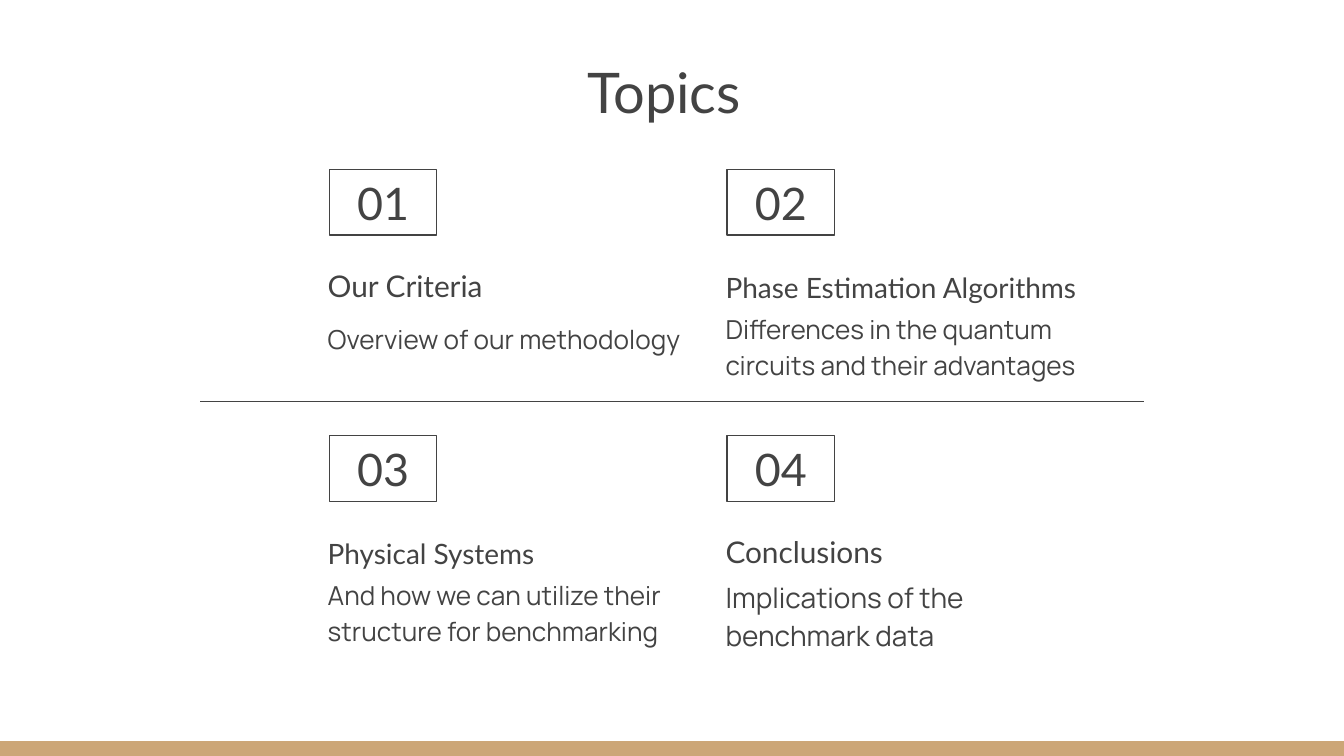
"""Build a slide that lists four numbered topics in a two-by-two grid."""
from dataclasses import dataclass

from lxml.etree import SubElement
from pptx import Presentation
from pptx.dml.color import RGBColor
from pptx.enum.shapes import MSO_CONNECTOR as Connector, MSO_SHAPE as Preset
from pptx.enum.text import MSO_ANCHOR as Anchor, PP_ALIGN as Align
from pptx.oxml.ns import qn
from pptx.shapes.autoshape import Shape
from pptx.slide import Slide
from pptx.util import Inches, Pt

WIDTH, HEIGHT = 10, 10 * 9 / 16
COLORS = {"ink": "434343", "band": "CCA677", "paper": "FFFFFF"}
HEAD_FONT, BODY_FONT = "Lato", "Manrope"
COLUMNS = (2.34, 5.3)
ROWS = (1.26, 3.24)
BADGE_INDENT, HEADING_DROP, BODY_DROP = 0.11, 0.57, 0.94
RULE_WEIGHT = Pt(0.75)


@dataclass(frozen=True)
class Frame:
    left: float
    top: float
    width: float
    height: float

    def lengths(self) -> tuple[int, ...]:
        return tuple(Inches(n) for n in (self.left, self.top, self.width, self.height))


@dataclass(frozen=True)
class Style:
    font: str
    size: float
    align: Align = Align.LEFT
    anchor: Anchor = Anchor.TOP
    spacing: float = 1.0


@dataclass(frozen=True)
class Topic:
    heading: str
    body: str
    heading_size: float
    body_size: float
    heading_width: float
    body_width: float
    body_height: float = 0.63
    body_shift: float = 0


TOPICS = (
    Topic("Our Criteria", "Overview of our methodology", 16, 14, 2.75, 2.99, 0.46, 0.07),
    Topic("Phase Estimation Algorithms",
          "Differences in the quantum circuits and their advantages", 15, 14, 3.62, 2.91),
    Topic("Physical Systems",
          "And how we can utilize their structure for benchmarking", 15, 14, 4.05, 2.75),
    Topic("Conclusions", "Implications of the benchmark data", 16, 15, 2.99, 2.65),
)


def color(name: str) -> RGBColor:
    return RGBColor.from_string(COLORS[name])


def write(box: Shape, text: str, style: Style) -> None:
    frame = box.text_frame
    frame.word_wrap = True
    frame.vertical_anchor = style.anchor
    frame.margin_left = frame.margin_right = Inches(0.1)
    frame.margin_top = frame.margin_bottom = Inches(0.1)
    frame.text = text
    para = frame.paragraphs[0]
    para.alignment = style.align
    para.line_spacing = style.spacing
    for span in para.runs:
        span.font.name = style.font
        span.font.size = Pt(style.size)
        span.font.color.rgb = color("ink")


def add_text(page: Slide, frame: Frame, text: str, style: Style) -> None:
    write(page.shapes.add_textbox(*frame.lengths()), text, style)


def add_rectangle(page: Slide, frame: Frame) -> Shape:
    box = page.shapes.add_shape(Preset.RECTANGLE, *frame.lengths())
    box.shadow.inherit = False
    return box


def add_band(page: Slide) -> None:
    band = add_rectangle(page, Frame(0, HEIGHT - 0.11, WIDTH, 0.11))
    band.fill.solid()
    band.fill.fore_color.rgb = color("band")
    band.line.fill.background()


def add_divider(page: Slide) -> None:
    inset, level = Inches(1.49), Inches(2.99)
    divider = page.shapes.add_connector(
        Connector.STRAIGHT, inset, level, Inches(WIDTH) - inset, level)
    divider.line.color.rgb = color("ink")
    divider.line.width = RULE_WEIGHT
    SubElement(divider._element.spPr, qn("a:effectLst"))


def add_badge(page: Slide, left: float, top: float, number: int) -> None:
    badge = add_rectangle(page, Frame(left, top, 0.8, 0.49))
    badge.fill.background()
    badge.line.color.rgb = color("ink")
    badge.line.width = RULE_WEIGHT
    write(badge, f"{number:02}", Style(HEAD_FONT, 24, Align.CENTER, Anchor.MIDDLE))


def add_topic(page: Slide, index: int, topic: Topic) -> None:
    row, column = divmod(index, len(COLUMNS))
    left, top = COLUMNS[column], ROWS[row]
    add_text(page, Frame(left, top + BODY_DROP + topic.body_shift,
                         topic.body_width, topic.body_height),
             topic.body, Style(BODY_FONT, topic.body_size, spacing=1.15))
    add_badge(page, left + BADGE_INDENT, top, index + 1)
    add_text(page, Frame(left, top + HEADING_DROP, topic.heading_width, 0.53),
             topic.heading,
             Style(HEAD_FONT, topic.heading_size, anchor=Anchor.BOTTOM, spacing=1.15))


def main() -> None:
    deck = Presentation()
    deck.slide_width, deck.slide_height = Inches(WIDTH), Inches(HEIGHT)
    page = deck.slides.add_slide(deck.slide_layouts[6])
    page.background.fill.solid()
    page.background.fill.fore_color.rgb = color("paper")
    add_band(page)
    add_divider(page)
    add_text(page, Frame(1.91, 0.33, 6.17, 0.63), "Topics ",
             Style(HEAD_FONT, 30, Align.CENTER))
    for index, topic in enumerate(TOPICS):
        add_topic(page, index, topic)
    deck.save("out.pptx")


if __name__ == "__main__":
    main()
